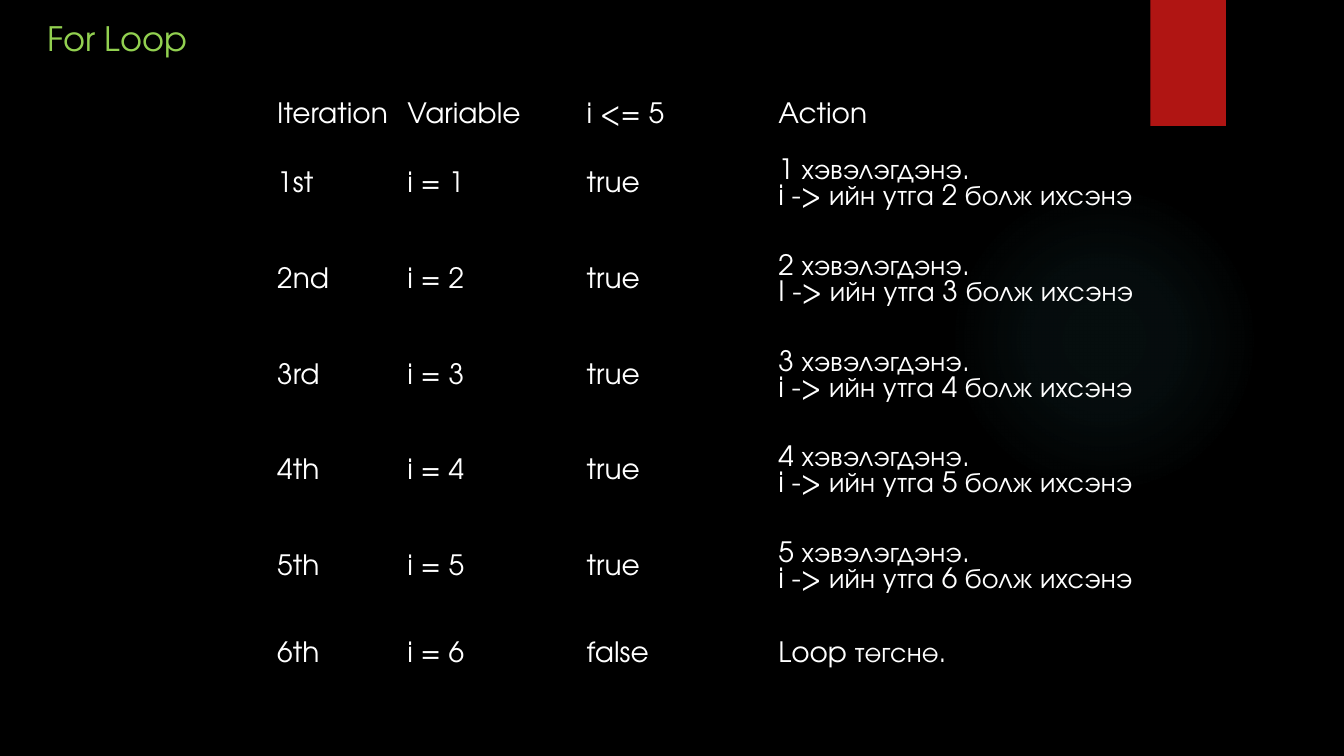
import dataclasses

import pptx
import pptx.dml.color
import pptx.enum.shapes
import pptx.enum.text
import pptx.oxml
import pptx.oxml.ns
import pptx.util
from pptx.util import Inches


@dataclasses.dataclass(frozen=True)
class Theme:
    font: str = "TeX Gyre Adventor"
    background: str = "000000"
    glow: str = "50B9C1"
    ribbon: str = "B01513"
    title: str = "92D050"
    text: str = "FFFFFF"
    title_size: int = 24
    table_size: int = 20


theme = Theme()
NS = pptx.oxml.ns.nsdecls("a")
NO_GRID_STYLE = "{2D5ABB26-0587-4C30-8999-92F81FD0307C}"


def rgb(color):
    return pptx.dml.color.RGBColor.from_string(color)


def format_text(frame, size, color):
    for paragraph in frame.paragraphs:
        for run in paragraph.runs:
            run.font.name = theme.font
            run.font.size = pptx.util.Pt(size)
            run.font.color.rgb = rgb(color)


deck = pptx.Presentation()
deck.slide_width, deck.slide_height = Inches(13.33), Inches(7.5)
slide = deck.slides.add_slide(deck.slide_layouts[6])
slide.background.fill.solid()
slide.background.fill.fore_color.rgb = rgb(theme.background)

# Soft round glow, fading outwards
glow = slide.shapes.add_shape(
    pptx.enum.shapes.MSO_SHAPE.OVAL, Inches(9.41), Inches(1.83), Inches(3.08), Inches(3.08))
glow.shadow.inherit = False
glow.line.fill.background()
stops = "".join(
    f'<a:gs pos="{position * 1000}"><a:srgbClr val="{theme.glow}">'
    f'<a:alpha val="{alpha * 1000}"/></a:srgbClr></a:gs>'
    for position, alpha in [(0, 7), (36, 6), (69, 0), (100, 0)])
gradient = pptx.oxml.parse_xml(
    f'<a:gradFill {NS} rotWithShape="1"><a:gsLst>{stops}</a:gsLst><a:path path="circle">'
    '<a:fillToRect l="50000" t="50000" r="50000" b="50000"/></a:path></a:gradFill>')
glow.element.spPr.find(pptx.oxml.ns.qn("a:prstGeom")).addnext(gradient)

# Red ribbon with a drop shadow
ribbon = slide.shapes.add_shape(
    pptx.enum.shapes.MSO_SHAPE.RECTANGLE, Inches(11.41), Inches(0), Inches(0.75), Inches(1.25))
ribbon.shadow.inherit = False
ribbon.fill.solid()
ribbon.fill.fore_color.rgb = rgb(theme.ribbon)
ribbon.line.fill.background()
ribbon.element.spPr.find(pptx.oxml.ns.qn("a:effectLst")).append(pptx.oxml.parse_xml(
    f'<a:outerShdw {NS} blurRad="38100" dist="25400" dir="5400000" rotWithShape="0">'
    '<a:srgbClr val="000000"><a:alpha val="45000"/></a:srgbClr></a:outerShdw>'))

# Loop trace: one row per iteration
trace = [["Iteration", "Variable", "i <= 5", "Action"]]
for i, ordinal in enumerate(["1st", "2nd", "3rd", "4th", "5th"], start=1):
    name = "I" if i == 2 else "i"
    trace.append([ordinal, f"i = {i}", "true",
                  f"{i} хэвэлэгдэнэ.\n{name} -> ийн утга {i + 1} болж ихсэнэ"])
trace.append(["6th", "i = 6", "false", "Loop төгснө."])

column_widths = [1.29, 1.78, 1.9, 4.36]
row_heights = [0.43] + [0.95] * 5 + [0.78]
trace_frame = slide.shapes.add_table(
    len(trace), len(column_widths), Inches(2.66), Inches(0.93),
    Inches(sum(column_widths)), Inches(sum(row_heights)))
trace_table = trace_frame.table
trace_table.first_row = False
trace_table.horz_banding = False
trace_table._tbl.tblPr.find(pptx.oxml.ns.qn("a:tableStyleId")).text = NO_GRID_STYLE
for column, width in zip(trace_table.columns, column_widths):
    column.width = Inches(width)
for row, height, entries in zip(trace_table.rows, row_heights, trace):
    row.height = Inches(height)
    for cell, entry in zip(row.cells, entries):
        cell.fill.background()
        cell.vertical_anchor = pptx.enum.text.MSO_ANCHOR.MIDDLE
        cell.margin_left = cell.margin_right = Inches(0.09)
        cell.margin_top = cell.margin_bottom = Inches(0.04)
        cell.text_frame.text = entry
        format_text(cell.text_frame, theme.table_size, theme.text)

# Title
title = slide.shapes.add_textbox(Inches(0.37), Inches(0.13), Inches(1.61), Inches(0.5))
title.text_frame.word_wrap = False
title.text_frame.auto_size = pptx.enum.text.MSO_AUTO_SIZE.SHAPE_TO_FIT_TEXT
title.text_frame.text = "For Loop"
format_text(title.text_frame, theme.title_size, theme.title)

deck.save("out.pptx")
